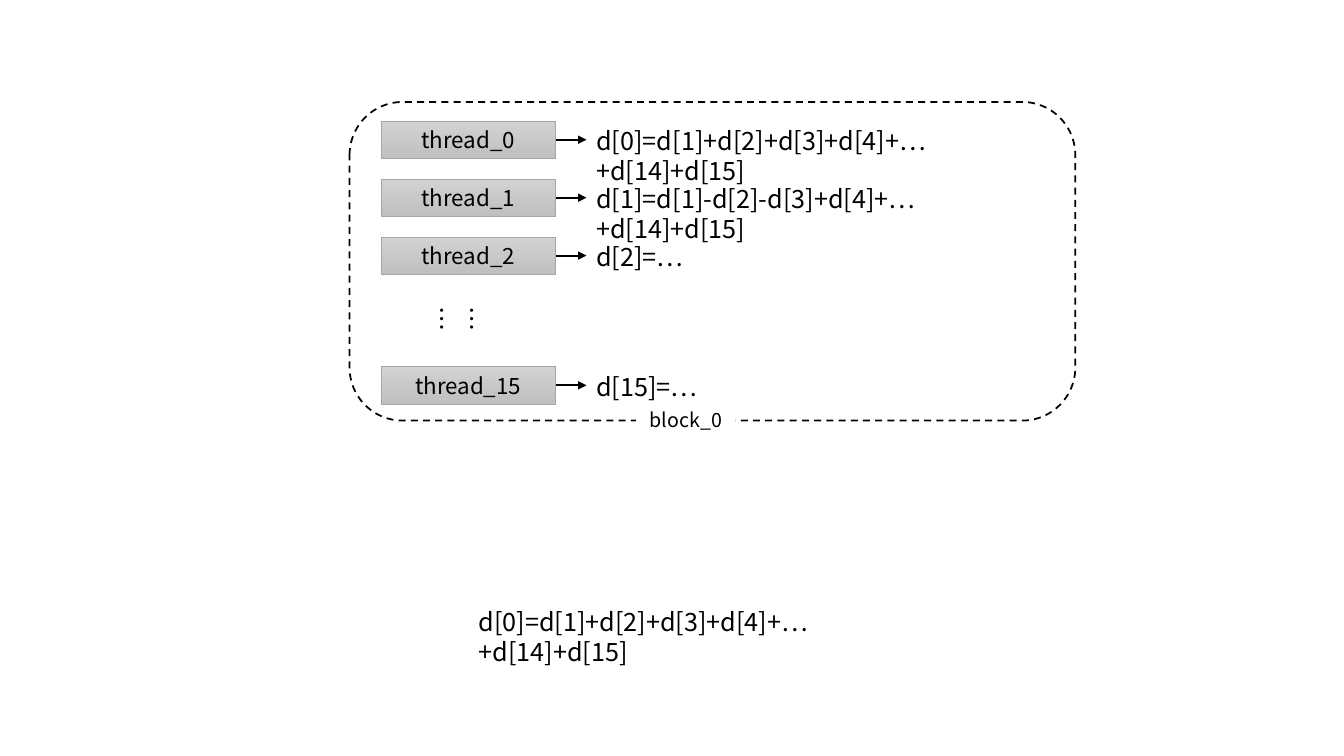
import dataclasses
import pptx
import pptx.dml.color
import pptx.enum.dml
import pptx.enum.shapes
import pptx.enum.text
import pptx.oxml.ns
import pptx.util
from lxml import etree

Cm = pptx.util.Cm
Pt = pptx.util.Pt
RGBColor = pptx.dml.color.RGBColor
Kind = pptx.enum.shapes.MSO_SHAPE
Align = pptx.enum.text.PP_ALIGN
Anchor = pptx.enum.text.MSO_ANCHOR
qn = pptx.oxml.ns.qn

BLACK = RGBColor(0x00, 0x00, 0x00)
WHITE = RGBColor(0xFF, 0xFF, 0xFF)
LIGHT = RGBColor(0xD2, 0xD2, 0xD2)
DARK = RGBColor(0xC0, 0xC0, 0xC0)
EDGE = RGBColor(0xA5, 0xA5, 0xA5)
FACE = "Noto Sans CJK SC"
LEAD = 1.19

# Centimetres
BOX_X, BOX_W, BOX_H = 9.6, 4.4, 0.94
ARROW_X = BOX_X + BOX_W
TEXT_X, TEXT_W, TEXT_H = 14.78, 12.09, 1.02
TOP, STEP, LAST = 3.52, 1.46, 9.71
TEXT_UP = 0.47
SUM = "d[0]=d[1]+d[2]+d[3]+d[4]+…+d[14]+d[15]"


@dataclasses.dataclass
class Thread:
    """One thread row: its name, its formula and its middle height."""
    name: str
    sum: str
    mid: float


@dataclasses.dataclass
class Area:
    """A rectangle in centimetres."""
    x: float
    y: float
    w: float
    h: float

    def cut(self) -> tuple:
        """Return left, top, width and height as lengths."""
        return Cm(self.x), Cm(self.y), Cm(self.w), Cm(self.h)


THREADS = [
    Thread("thread_0", SUM, TOP),
    Thread("thread_1", "d[1]=d[1]-d[2]-d[3]+d[4]+…+d[14]+d[15]", TOP + STEP),
    Thread("thread_2", "d[2]=…", TOP + 2 * STEP),
    Thread("thread_15", "d[15]=…", LAST),
]


def apply(item, form: dict) -> None:
    """Set each format value on the item."""
    for key, value in form.items():
        setattr(item, key, value)


def write(shape, text: str, size: int, align, anchor) -> None:
    """Put one formatted paragraph into the shape."""
    frame = shape.text_frame
    apply(frame, {"word_wrap": True, "vertical_anchor": anchor,
                  "auto_size": pptx.enum.text.MSO_AUTO_SIZE.SHAPE_TO_FIT_TEXT})
    para = frame.paragraphs[0]
    apply(para, {"alignment": align, "line_spacing": Pt(size * LEAD)})
    run = para.add_run()
    run.text = text
    apply(run.font, {"name": FACE, "size": Pt(size)})
    run.font.color.rgb = BLACK
    east = etree.SubElement(run.font._element, qn("a:ea"))
    east.set("typeface", FACE)


def add_form(slide, kind, area: Area):
    """Add a preset shape without shadow."""
    shape = slide.shapes.add_shape(kind, *area.cut())
    shape.shadow.inherit = False
    return shape


def add_text(slide, area: Area, text: str):
    """Add a text box with top left text."""
    box = slide.shapes.add_textbox(*area.cut())
    write(box, text, 18, Align.LEFT, Anchor.TOP)
    return box


def add_box(slide, row: Thread) -> None:
    """Add the grey box that names a thread."""
    box = add_form(slide, Kind.RECTANGLE,
                   Area(BOX_X, row.mid - BOX_H / 2, BOX_W, BOX_H))
    box.fill.gradient()
    box.fill.gradient_angle = 270
    for stop, tone in zip(box.fill.gradient_stops, (LIGHT, DARK)):
        stop.color.rgb = tone
    box.line.color.rgb = EDGE
    box.line.width = Pt(0.5)
    write(box, row.name, 16, Align.CENTER, Anchor.MIDDLE)


def add_arrow(slide, mid: float) -> None:
    """Add the arrow from a thread to its formula."""
    arrow = slide.shapes.add_connector(
        pptx.enum.shapes.MSO_CONNECTOR.STRAIGHT,
        Cm(ARROW_X), Cm(mid), Cm(TEXT_X), Cm(mid))
    arrow.line.color.rgb = BLACK
    arrow.line.width = Pt(1.5)
    tail = etree.SubElement(arrow.line._get_or_add_ln(), qn("a:tailEnd"))
    tail.set("type", "triangle")
    etree.SubElement(arrow._element.spPr, qn("a:effectLst"))


def add_block(slide) -> None:
    """Add the dashed block outline and its label."""
    block = add_form(slide, Kind.ROUNDED_RECTANGLE,
                     Area(8.81, 2.57, 18.29, 8.03))
    block.fill.background()
    block.line.color.rgb = BLACK
    apply(block.line, {"width": Pt(1.25),
                       "dash_style": pptx.enum.dml.MSO_LINE.DASH})
    label = add_form(slide, Kind.RECTANGLE, Area(16.03, 10.16, 2.51, 0.86))
    label.fill.solid()
    label.fill.fore_color.rgb = WHITE
    label.line.fill.background()
    write(label, "block_0", 14, Align.CENTER, Anchor.MIDDLE)


def main() -> None:
    """Build the slide and save it."""
    deck = pptx.Presentation()
    apply(deck, {"slide_width": Cm(33.87), "slide_height": Cm(19.05)})
    slide = deck.slides.add_slide(deck.slide_layouts[6])
    for row in THREADS:
        add_box(slide, row)
    add_block(slide)
    for row in THREADS:
        add_arrow(slide, row.mid)
        add_text(slide, Area(TEXT_X, row.mid - TEXT_UP, TEXT_W, TEXT_H),
                 row.sum)
    dots = add_text(slide, Area(11.15, 7.47, 1.27, 1.35), "……")
    dots.text_frame._txBody.bodyPr.set("vert", "eaVert")
    add_text(slide, Area(11.81, 15.15, TEXT_W, TEXT_H), SUM)
    deck.save("out.pptx")


main()
